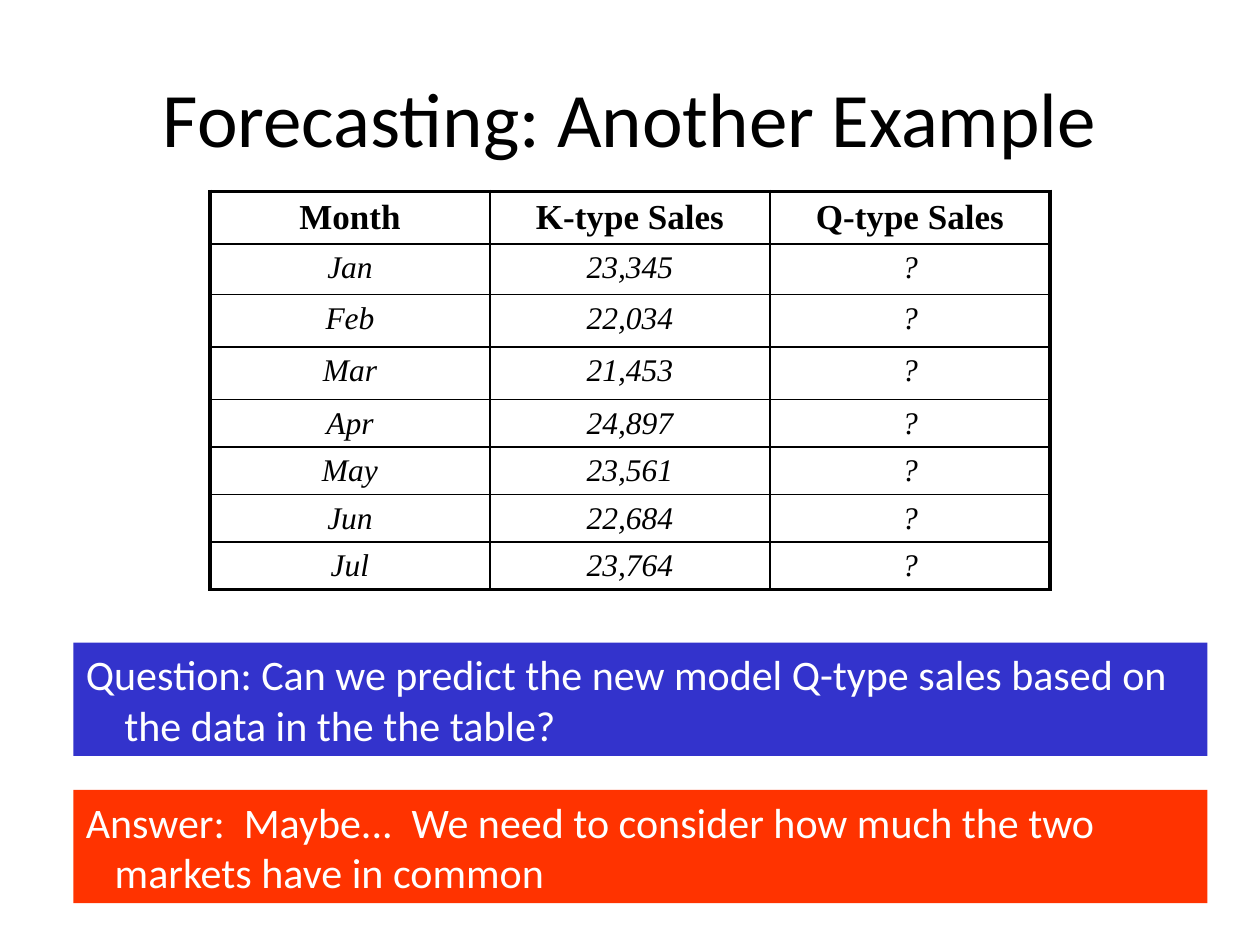
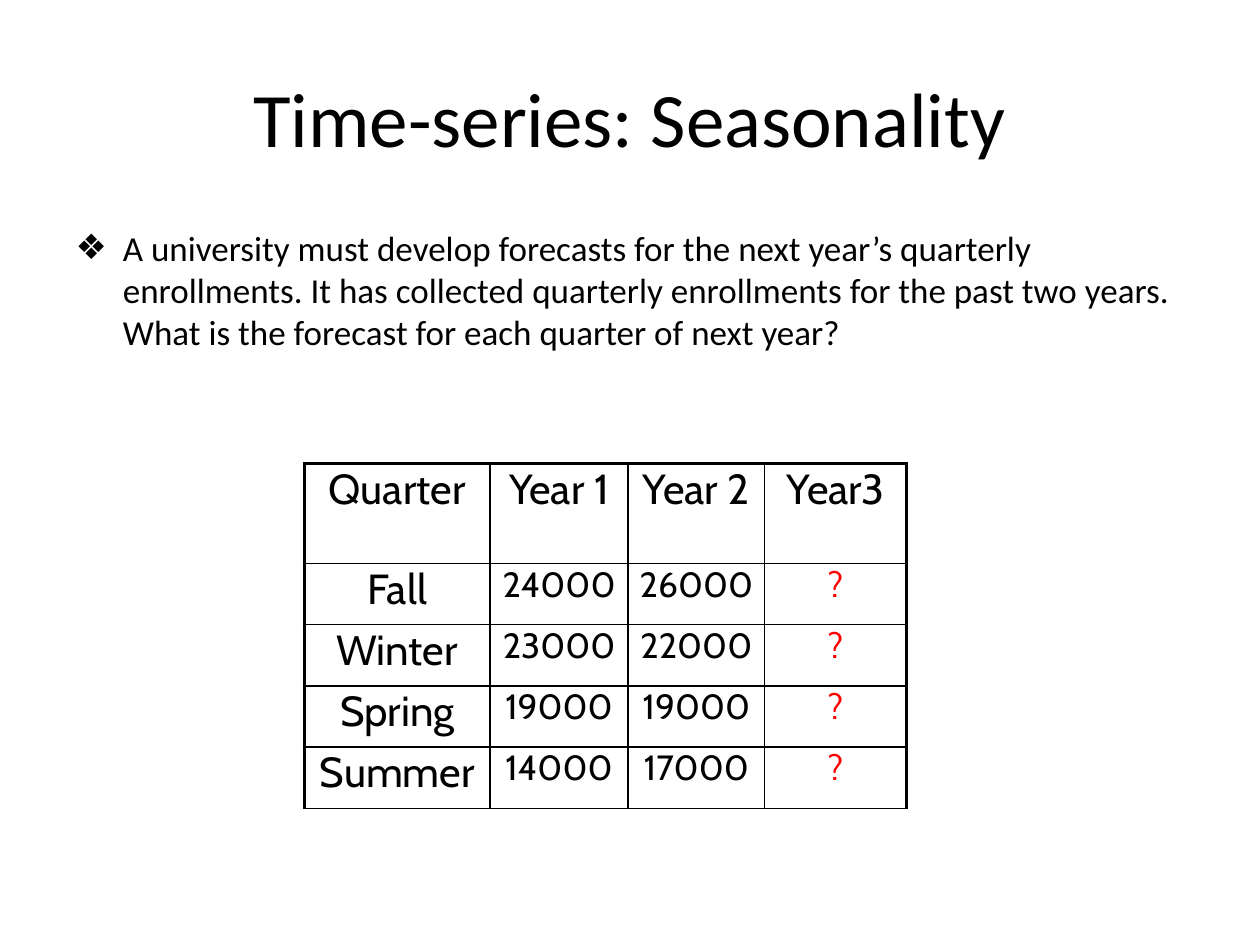
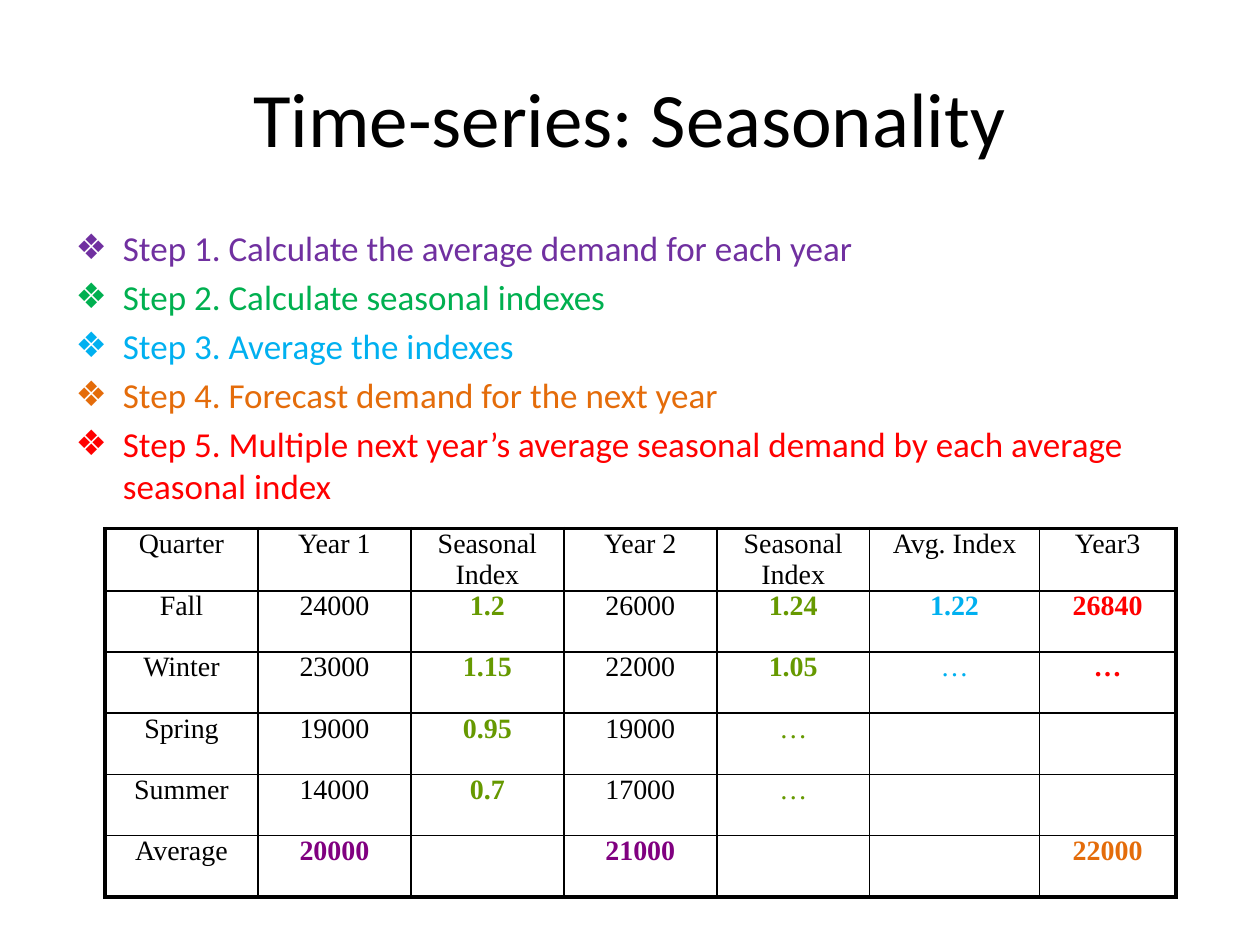
from dataclasses import dataclass
from typing import Callable, NamedTuple

from lxml import etree
from pptx import Presentation
from pptx.dml.color import RGBColor
from pptx.enum import shapes, text
from pptx.oxml import ns
from pptx.util import Pt


@dataclass(frozen=True)
class Theme:
    sans: str = "Calibri"
    serif: str = "Times New Roman"
    rounded: str = "Cabin"
    black: str = "000000"
    white: str = "FFFFFF"
    blue: str = "3333CC"
    orange_red: str = "FF3300"
    red: str = "FF0000"
    violet: str = "7030A0"
    green: str = "00B050"
    sky: str = "00B0F0"
    orange: str = "E46C0A"
    olive: str = "669900"
    purple: str = "800080"
    title_size: float = 44
    label_size: float = 24
    body_size: float = 20
    cell_size: float = 18
    small_size: float = 16
    thick: float = 2.25
    thin: float = 1


THEME = Theme()


class Area(NamedTuple):
    left: float
    top: float
    width: float
    height: float

    def lengths(self) -> list[Pt]:
        return [Pt(value) for value in self]


class Style(NamedTuple):
    size: float
    color: str = THEME.black
    bold: bool = False
    italic: bool = False


class Step(NamedTuple):
    text: str
    color: str = THEME.black


class Banner(NamedTuple):
    text: str
    top: float
    fill: str
    hanging: float


@dataclass(frozen=True)
class Grid:
    left: float
    top: float
    columns: list[float]
    heights: list[float]
    rows: list[list[str]]
    font: str
    style: Callable[[int, int, str], Style]
    padded: bool = False
    bottom_line: float = THEME.thick


TITLE_AREA = Area(36, 21.6, 648, 90)
BODY_AREA = Area(36, 126, 648, 356.4)
BULLET_INDENT = 27


def write(paragraph, content: str, *, font: str = THEME.sans, size: float,
          color: str = THEME.black, bold: bool = False, italic: bool = False,
          align=text.PP_ALIGN.LEFT, before: float = 0) -> None:
    paragraph.alignment = align
    paragraph.space_before = Pt(before)
    span = paragraph.add_run()
    span.text = content
    span.font.name = font
    span.font.size = Pt(size)
    span.font.bold = bold
    span.font.italic = italic
    span.font.color.rgb = RGBColor.from_string(color)


def hang(paragraph, indent: float, bullet: str = "") -> None:
    """Give the paragraph a hanging indent and, if named, a bullet sign."""
    properties = paragraph._p.get_or_add_pPr()
    properties.set("marL", str(Pt(indent)))
    properties.set("indent", str(-Pt(indent)))
    if bullet:
        etree.SubElement(properties, ns.qn("a:buChar"), char=bullet)


def place(shape, area: Area) -> None:
    shape.left, shape.top, shape.width, shape.height = area.lengths()


def add_page(deck, title: str, steps: list[Step]):
    """Add a slide with its title and, if there are steps, a bulleted body."""
    page = deck.slides.add_slide(deck.slide_layouts[1 if steps else 5])
    place(page.shapes.title, TITLE_AREA)
    write(page.shapes.title.text_frame.paragraphs[0], title,
          size=THEME.title_size, align=text.PP_ALIGN.CENTER)
    if steps:
        body = page.placeholders[1]
        place(body, BODY_AREA)
        frame = body.text_frame
        for index, step in enumerate(steps):
            para = frame.add_paragraph() if index else frame.paragraphs[0]
            hang(para, BULLET_INDENT, "❖")
            write(para, step.text, size=THEME.body_size, color=step.color,
                  before=4 if index else 0)
    return page


def add_banner(page, banner: Banner) -> None:
    area = Area(42, banner.top, 648, 64.8)
    box = page.shapes.add_shape(shapes.MSO_SHAPE.RECTANGLE, *area.lengths())
    box.shadow.inherit = False
    box.fill.solid()
    box.fill.fore_color.rgb = RGBColor.from_string(banner.fill)
    box.line.fill.background()
    frame = box.text_frame
    frame.word_wrap = True
    frame.vertical_anchor = text.MSO_ANCHOR.TOP
    hang(frame.paragraphs[0], banner.hanging)
    write(frame.paragraphs[0], banner.text, size=THEME.label_size,
          color=THEME.white)


def draw_borders(cell, left: float, right: float, top: float,
                 bottom: float) -> None:
    properties = cell._tc.get_or_add_tcPr()
    for side, width in zip("LRTB", (left, right, top, bottom)):
        line = etree.SubElement(properties, ns.qn(f"a:ln{side}"),
                                w=str(Pt(width)))
        fill = etree.SubElement(line, ns.qn("a:solidFill"))
        etree.SubElement(fill, ns.qn("a:srgbClr"), val=THEME.black)


def add_grid(page, grid: Grid) -> None:
    area = Area(grid.left, grid.top, sum(grid.columns), sum(grid.heights))
    table = page.shapes.add_table(len(grid.heights), len(grid.columns),
                                  *area.lengths()).table
    table.first_row = table.horz_banding = False
    for column, width in zip(table.columns, grid.columns):
        column.width = Pt(width)
    for row, height in zip(table.rows, grid.heights):
        row.height = Pt(height)

    last_row, last_column = len(grid.heights) - 1, len(grid.columns) - 1
    for r, row in enumerate(grid.rows):
        for c, content in enumerate(row):
            cell = table.cell(r, c)
            if not grid.padded:
                cell.margin_left = cell.margin_right = Pt(0)
                cell.margin_top = cell.margin_bottom = Pt(0)
            draw_borders(
                cell,
                left=THEME.thin if c else THEME.thick,
                right=THEME.thick if c == last_column else THEME.thin,
                top=THEME.thin if r else THEME.thick,
                bottom=grid.bottom_line if r == last_row else THEME.thin)
            cell.fill.background()
            if content:
                write(cell.text_frame.paragraphs[0], content, font=grid.font,
                      align=text.PP_ALIGN.CENTER,
                      **grid.style(r, c, content)._asdict())


def sales_style(row: int, column: int, content: str) -> Style:
    if row == 0:
        return Style(THEME.body_size, bold=True)
    return Style(THEME.cell_size, italic=True)


def enrollment_style(row: int, column: int, content: str) -> Style:
    if row == 0 or column == 0:
        return Style(THEME.label_size)
    return Style(THEME.body_size, THEME.red if content == "?" else THEME.black)


def index_style(row: int, column: int, content: str) -> Style:
    """Colour each result like the step that yields it."""
    averages = {1: THEME.purple, 3: THEME.purple, 6: THEME.orange}
    results = {2: THEME.olive, 4: THEME.olive, 5: THEME.sky, 6: THEME.red}
    colors = averages if row == 5 else results
    if row == 0 or column not in colors:
        return Style(THEME.small_size)
    bold = content != "…" or column == 6
    return Style(THEME.small_size, colors[column], bold)


SALES = [("Jan", "23,345"), ("Feb", "22,034"), ("Mar", "21,453"),
         ("Apr", "24,897"), ("May", "23,561"), ("Jun", "22,684"),
         ("Jul", "23,764")]

SALES_GRID = Grid(
    left=120, top=109.4, columns=[160] * 3,
    heights=[30, 29, 30, 30] + [27] * 4,
    rows=[["Month", "K-type Sales", "Q-type Sales"]]
    + [[month, sold, "?"] for month, sold in SALES],
    font=THEME.serif, style=sales_style, padded=True)

BANNERS = [
    Banner("Question: Can we predict the new model Q-type sales based on "
           "the data in the the table?", 367.2, THEME.blue, 22),
    Banner("Answer:  Maybe...  We need to consider how much the two "
           "markets have in common", 451.4, THEME.orange_red, 16.5),
]

ENROLLMENTS = [("Fall", "24000", "26000"), ("Winter", "23000", "22000"),
               ("Spring", "19000", "19000"), ("Summer", "14000", "17000")]

ENROLLMENT_GRID = Grid(
    left=174, top=265, columns=[106, 79, 78, 81], heights=[57] + [35] * 4,
    rows=[["Quarter", "Year 1", "Year 2", "Year3"]]
    + [[*quarter, "?"] for quarter in ENROLLMENTS],
    font=THEME.rounded, style=enrollment_style, bottom_line=THEME.thin)

INDEXES = [("1.2", "1.24", "1.22", "26840"), ("1.15", "1.05", "…", "…"),
           ("0.95", "…", "", ""), ("0.7", "…", "", "")]

INDEX_GRID = Grid(
    left=60, top=302, columns=[87.4] * 5 + [97, 78], heights=[35] * 6,
    rows=[["Quarter", "Year 1", "Seasonal Index", "Year 2", "Seasonal Index",
           "Avg. Index", "Year3"]]
    + [[quarter, first, first_index, second, *others]
       for (quarter, first, second), (first_index, *others)
       in zip(ENROLLMENTS, INDEXES)]
    + [["Average", "20000", "", "21000", "", "", "22000"]],
    font=THEME.serif, style=index_style)

TASK = [Step("A university must develop forecasts for the next year’s "
             "quarterly enrollments. It has collected quarterly enrollments "
             "for the past two years. What is the forecast for each quarter "
             "of next year?")]

METHOD = [
    Step("Step 1. Calculate the average demand for each year", THEME.violet),
    Step("Step 2. Calculate seasonal indexes", THEME.green),
    Step("Step 3. Average the indexes", THEME.sky),
    Step("Step 4. Forecast demand for the next year", THEME.orange),
    Step("Step 5. Multiple next year’s average seasonal demand by each "
         "average seasonal index", THEME.red),
]


def main() -> None:
    deck = Presentation()
    deck.slide_width, deck.slide_height = Pt(720), Pt(540)

    sales_page = add_page(deck, "Forecasting: Another Example", [])
    add_grid(sales_page, SALES_GRID)
    for banner in BANNERS:
        add_banner(sales_page, banner)

    for steps, grid in ((TASK, ENROLLMENT_GRID), (METHOD, INDEX_GRID)):
        add_grid(add_page(deck, "Time-series: Seasonality", steps), grid)

    deck.save("out.pptx")


if __name__ == "__main__":
    main()
